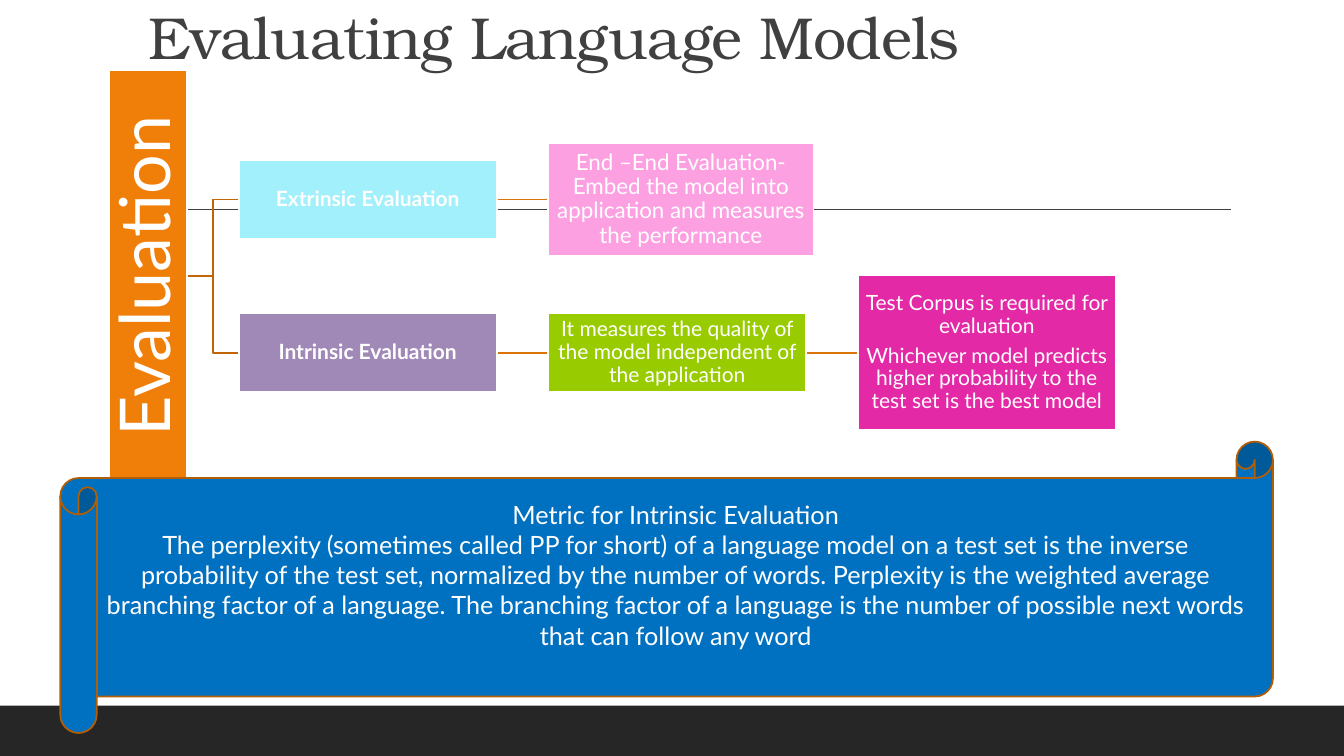
from lxml.etree import SubElement
from pptx import Presentation
from pptx.dml.color import RGBColor
from pptx.enum.shapes import MSO_CONNECTOR, MSO_SHAPE
from pptx.enum.text import MSO_ANCHOR, MSO_AUTO_SIZE, PP_ALIGN
from pptx.oxml.ns import qn
from pptx.util import Cm, Pt

WIDTH, HEIGHT = 33.87, 19.05
COLUMN_LEFT, COLUMN_PITCH = 6.02, 7.8
BOX_WIDTH, BOX_HEIGHT = 6.5, 1.98
EXTRINSIC_Y, INTRINSIC_Y = 5.03, 8.89
ROOT_X, ROOT_Y = 3.73, 6.96


def colour(hex_string):
    return RGBColor.from_string(hex_string)


def set_all(target, values):
    for name, value in values.items():
        setattr(target, name, value)


def write(frame, paragraphs, size, color="FFFFFF", bold=False, font="Lato",
          spacing=0.9, gap=0, inset=0.03, bottom=None, anchor=MSO_ANCHOR.MIDDLE):
    side = Cm(inset)
    set_all(frame, {
        "word_wrap": True,
        "auto_size": MSO_AUTO_SIZE.NONE,
        "vertical_anchor": anchor,
        "margin_left": side,
        "margin_right": side,
        "margin_top": side,
        "margin_bottom": side if bottom is None else Cm(bottom),
    })
    for index, text in enumerate(paragraphs):
        paragraph = frame.add_paragraph() if index else frame.paragraphs[0]
        set_all(paragraph, {
            "alignment": PP_ALIGN.CENTER,
            "line_spacing": spacing,
            "space_before": Pt(gap if index else 0),
        })
        run = paragraph.add_run()
        run.text = text
        set_all(run.font, {"name": font, "size": Pt(size), "bold": bold})
        run.font.color.rgb = colour(color)


def add_block(slide, kind, left, top, width, height, fill, outline=None):
    block = slide.shapes.add_shape(kind, Cm(left), Cm(top), Cm(width), Cm(height))
    block.shadow.inherit = False
    block.fill.solid()
    block.fill.fore_color.rgb = colour(fill)
    if outline:
        block.line.color.rgb = colour(outline)
        block.line.width = Pt(1.25)
    else:
        block.line.fill.background()
    return block


def add_node(slide, column, center_y, fill, paragraphs, size=15, bold=False,
             width=BOX_WIDTH, height=BOX_HEIGHT):
    node = add_block(slide, MSO_SHAPE.RECTANGLE, COLUMN_LEFT + column * COLUMN_PITCH,
                     center_y - height / 2, width, height, fill, "FFFFFF")
    write(node.text_frame, paragraphs, size, bold=bold, gap=5.25)


def add_link(slide, kind, start, end, color, width=1.25):
    link = slide.shapes.add_connector(kind, *map(Cm, start + end))
    link.line.color.rgb = colour(color)
    link.line.width = Pt(width)
    SubElement(link._element.spPr, qn("a:effectLst"))


def add_title(slide):
    title = slide.shapes.title
    set_all(title, {"left": Cm(0), "top": Cm(0), "width": Cm(27.94), "height": Cm(1.96)})
    write(title.text_frame, ["Evaluating Language Models"], 42.3, color="404040",
          font="TeX Gyre Bonum", inset=0.13, anchor=MSO_ANCHOR.BOTTOM)
    title.text_frame.paragraphs[0].runs[0].font._element.set("spc", "-50")


def add_links(slide):
    root_edge = ROOT_X + BOX_HEIGHT / 2
    for row_y in (INTRINSIC_Y, EXTRINSIC_Y):
        add_link(slide, MSO_CONNECTOR.ELBOW, (root_edge, ROOT_Y),
                 (COLUMN_LEFT, row_y), "C06607")
    for column, row_y in ((0, EXTRINSIC_Y), (0, INTRINSIC_Y), (1, INTRINSIC_Y)):
        next_left = COLUMN_LEFT + (column + 1) * COLUMN_PITCH
        add_link(slide, MSO_CONNECTOR.STRAIGHT,
                 (next_left - COLUMN_PITCH + BOX_WIDTH, row_y), (next_left, row_y), "DA7308")


def add_root(slide):
    length = 10.41
    root = add_block(slide, MSO_SHAPE.RECTANGLE, ROOT_X - length / 2,
                     ROOT_Y - BOX_HEIGHT / 2, length, BOX_HEIGHT, "F07F09", "FFFFFF")
    root.rotation = 270
    write(root.text_frame, ["Evaluation"], 50, inset=0.08)


def add_nodes(slide):
    add_node(slide, 0, EXTRINSIC_Y, "A1F0FB", ["Extrinsic Evaluation"], bold=True)
    add_node(slide, 1, EXTRINSIC_Y, "FCA0E2",
             ["End –End Evaluation-Embed the model into application and measures "
              "the performance"], size=16, width=6.68, height=2.84)
    add_node(slide, 0, INTRINSIC_Y, "A088B7", ["Intrinsic Evaluation"], bold=True)
    add_node(slide, 1, INTRINSIC_Y, "99CC00",
             ["It measures the quality of the model independent of the application"])
    add_node(slide, 2, INTRINSIC_Y, "E329A5",
             ["Test Corpus is required for evaluation",
              "Whichever model predicts higher probability to the test set is the best model"],
             height=3.91)


def add_metric(slide):
    scroll = add_block(slide, MSO_SHAPE.HORIZONTAL_SCROLL, 1.52, 11.13, 30.56, 7.34,
                       "0070C0", "B25E07")
    write(scroll.text_frame,
          ["Metric for Intrinsic Evaluation",
           "The perplexity (sometimes called PP for short) of a language model on a test set "
           "is the inverse probability of the test set, normalized by the number of words. "
           "Perplexity is the weighted average branching factor of a language. The branching "
           "factor of a language is the number of possible next words that can follow any word"],
          18, spacing=1.0, inset=0.25, bottom=0.89)


def main():
    deck = Presentation()
    set_all(deck, {"slide_width": Cm(WIDTH), "slide_height": Cm(HEIGHT)})
    slide = deck.slides.add_slide(deck.slide_layouts[5])
    add_block(slide, MSO_SHAPE.RECTANGLE, 0, 17.78, WIDTH, HEIGHT - 17.78, "262626")
    add_link(slide, MSO_CONNECTOR.STRAIGHT, (3.33, 5.28), (31.01, 5.28), "404040", 1)
    add_title(slide)
    add_links(slide)
    add_root(slide)
    add_nodes(slide)
    add_metric(slide)
    deck.save("out.pptx")


if __name__ == "__main__":
    main()
